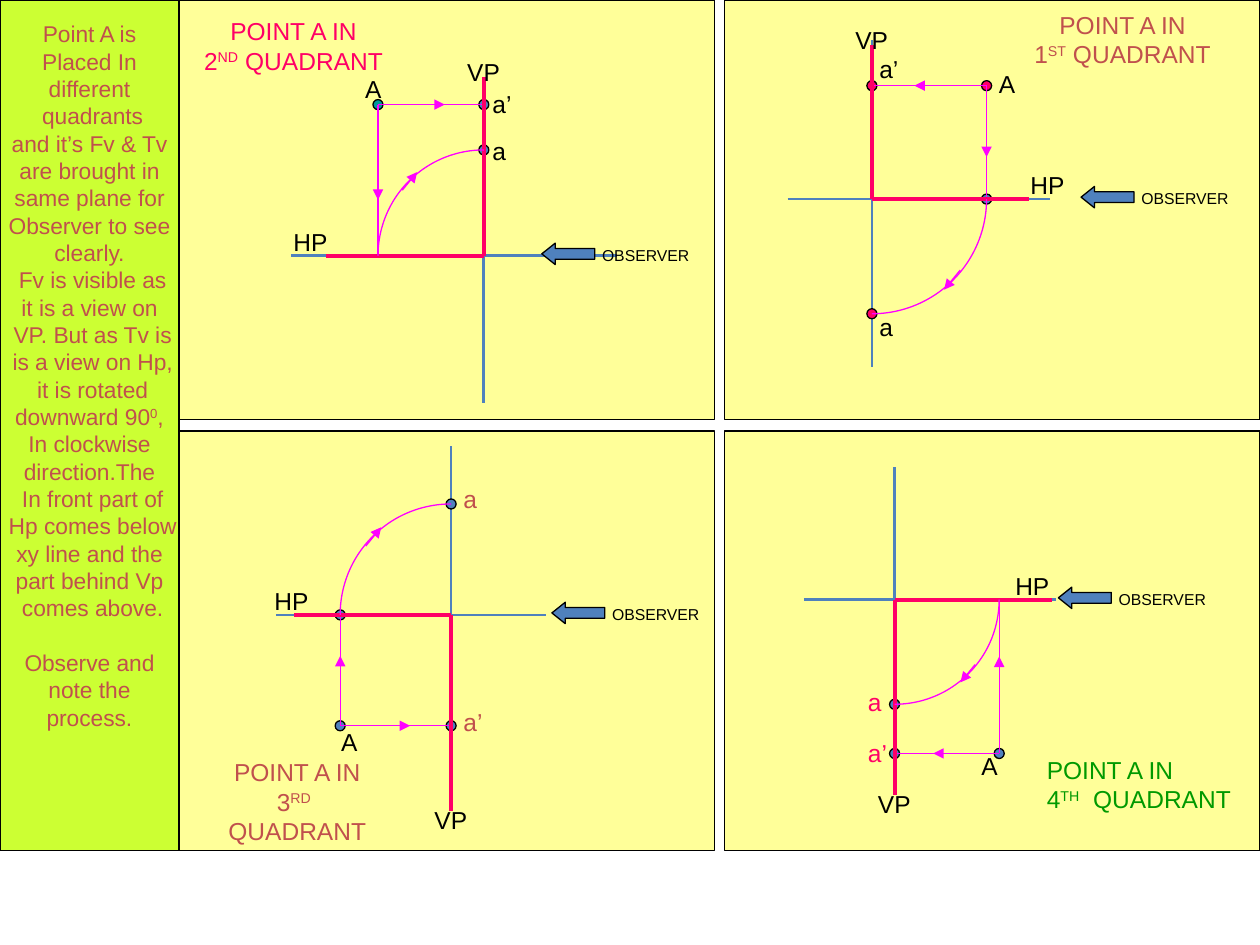
from collections import namedtuple

from lxml import etree
from pptx import Presentation
from pptx.dml.color import RGBColor
from pptx.enum.shapes import MSO_CONNECTOR, MSO_SHAPE
from pptx.enum.text import PP_ALIGN
from pptx.oxml.ns import qn
from pptx.util import Inches, Pt

hex_color = RGBColor.from_string
BLACK, BLUE, RED, BRICK = "000000", "4F81BD", "FF0066", "C0504D"
MAGENTA, GREEN, TEAL = "FF00FF", "009900", "009999"
LEFT, CENTER = PP_ALIGN.LEFT, PP_ALIGN.CENTER
LABEL_WIDTHS = {"HP": 0.47, "VP": 0.46, "a’": 0.35, "a": 0.31, "A": 0.33}
DOT = 0.08
PLANE = 1.25
AXIS = 2.59

prs = Presentation()
prs.slide_width, prs.slide_height = Inches(10), Inches(7.5)
shapes = prs.slides.add_slide(prs.slide_layouts[6]).shapes


def paint(shape, line, fill=None):
    shape.shadow.inherit = False
    shape.line.color.rgb = hex_color(line)
    shape.line.width = Pt(0.75)
    if fill:
        shape.fill.solid()
        shape.fill.fore_color.rgb = hex_color(fill)
    else:
        shape.fill.background()


def write(at, lines, size, color, align=LEFT):
    """Add one paragraph per line; text between ^ marks is superscript."""
    frame = shapes.add_textbox(*map(Inches, at)).text_frame
    frame.word_wrap = False
    font_format = {"name": "Arial", "size": Pt(size)}
    for number, line in enumerate(lines):
        paragraph = frame.add_paragraph() if number else frame.paragraphs[0]
        paragraph.alignment = align
        for part, text in enumerate(line.split("^")):
            run = paragraph.add_run()
            run.text = text
            for name, value in font_format.items():
                setattr(run.font, name, value)
            run.font.color.rgb = hex_color(color)
            if part % 2:
                run._r.get_or_add_rPr().set("baseline", "30000")
    return frame


# origin: where HP and VP meet; point: A; vp_end: free end of VP;
# the *_at fields place labels, view_tops are the tops of a’ and a.
Quadrant = namedtuple("Quadrant", "name origin point axis_ends axis_top vp_end hp_at a_at "
                      "view_left view_tops observer_left title_at title_color align "
                      "view_color dot_colors")
quadrants = [
    Quadrant("1^ST^ QUADRANT", (6.92, 1.58), (7.83, 0.68), (6.25, 8.33), 0.32, 0.36, 8.08,
             (7.83, 0.5), 6.88, (0.38, 2.43), 8.58, (8.08, 0.03), BRICK, CENTER,
             BLACK, (RED, RED, RED, BLUE)),
    Quadrant("2^ND^ QUADRANT", (3.84, 2.03), (3, 0.83), (2.31, 4.9), 0.61, 0.61, 2.23,
             (2.8, 0.54), 3.81, (0.66, 1.03), 4.3, (1.5, 0.08), RED, CENTER,
             BLACK, (TEAL, BLUE, BLUE)),
    Quadrant("3^RD^  QUADRANT", (3.58, 4.88), (2.7, 5.76), (2.19, 4.33), 3.54, 6.44, 2.08,
             (2.61, 5.72), 3.58, (5.56, 3.79), 4.38, (1.53, 5.96), BRICK, CENTER,
             BRICK, (BLUE,) * 4),
    Quadrant("4^TH^  QUADRANT", (7.1, 4.76), (7.93, 5.98), (6.38, 8.38), 3.71, 6.31, 7.96,
             (7.69, 5.91), 6.79, (5.81, 5.4), 8.4, (8.21, 5.94), GREEN, LEFT,
             RED, (BLUE,) * 3),
]

for q in quadrants:
    (ox, oy), (ax, ay) = q.origin, q.point
    offset = ax - ox
    reach = abs(offset)
    in_front, above = offset > 0, ay < oy
    corner = (5.75 if in_front else 1.42, 0 if above else 3.42)
    panel = shapes.add_shape(MSO_SHAPE.RECTANGLE, *map(Inches, (*corner, 4.25, 3.33)))
    paint(panel, BLACK, "FFFF99")

    start, end = q.axis_ends
    hp_end = ox + (PLANE if in_front else -PLANE)
    feet = [(ox, ay), (ax, oy)]
    arrows = [(ax + (x - ax) * 0.35, ay + (y - ay) * 0.35,
               ax + (x - ax) * 0.63, ay + (y - ay) * 0.63) for x, y in feet]
    arrows.append((ox + offset * 0.77, oy + offset * 0.62,
                   ox + offset * 0.63, oy + offset * 0.79))
    strokes = [
        (BLUE, 1.5, False, [(start, oy, end, oy), (ox, q.axis_top, ox, q.axis_top + AXIS)]),
        (MAGENTA, 0.75, False, [(ax, ay, *foot) for foot in feet]),
        (MAGENTA, 0.75, True, arrows),
        (RED, 2.25, False, [(ox, oy, hp_end, oy), (ox, oy, ox, q.vp_end)]),
    ]
    for color, width, has_head, lines in strokes:
        for ends in lines:
            line = shapes.add_connector(MSO_CONNECTOR.STRAIGHT, *map(Inches, ends))
            line.line.color.rgb = hex_color(color)
            line.line.width = Pt(width)
            properties = line._element.spPr
            if has_head:
                etree.SubElement(properties.find(qn("a:ln")), qn("a:tailEnd"), type="triangle")
            etree.SubElement(properties, qn("a:effectLst"))
        if color == BLUE:
            centers = [(ax, ay), (ox, ay), (ox, oy + offset), (ax, oy)]
            for (x, y), dot_color in zip(centers, q.dot_colors):
                box = (x - DOT / 2, y - DOT / 2, DOT, DOT)
                paint(shapes.add_shape(MSO_SHAPE.OVAL, *map(Inches, box)), BLACK, dot_color)

    box = (ox - reach, oy - reach, 2 * reach, 2 * reach)
    swing = shapes.add_shape(MSO_SHAPE.ARC, *map(Inches, box))
    first_angle = 0 if in_front else 180
    for index, degrees in enumerate((first_angle, first_angle + 90)):
        swing.adjustments[index] = degrees * 0.6  # arc angles are 60000 units a degree
    paint(swing, MAGENTA)

    vp_top = q.vp_end - (0.21 if above else 0.1)
    labels = [("HP", q.hp_at, oy - 0.28, BLACK), ("VP", ox - 0.23, vp_top, BLACK),
              ("A", *q.a_at, BLACK)]
    labels += [(view, q.view_left, top, q.view_color)
               for view, top in zip(("a’", "a"), q.view_tops)]
    for text, x, y, color in labels:
        write((x, y, LABEL_WIDTHS[text], 0.33), [text], 14, color)

    x, y = q.observer_left, oy - 0.1
    pointer = shapes.add_shape(MSO_SHAPE.LEFT_ARROW, *map(Inches, (x, y, 0.42, 0.17)))
    pointer.adjustments[1] = 0.625
    paint(pointer, BLACK, BLUE)
    write((x + 0.38, y - 0.03, 0.9, 0.25), ["OBSERVER"], 9, BLACK)
    write((*q.title_at, 1.66, 0.57), ["POINT A IN", q.name], 14, q.title_color, q.align)

sidebar = shapes.add_shape(MSO_SHAPE.RECTANGLE, *map(Inches, (0, 0, 1.42, 6.75)))
paint(sidebar, BLACK, "CCFF33")
explanation = [
    "Point A is ", "Placed In ", "different ", "quadrants", "and it’s Fv & Tv ",
    "are brought in ", "same plane for ", "Observer to see ", "clearly. ",
    "Fv is visible as", "it is a view on ", "VP. But as Tv is", " is a view on Hp, ",
    "it is rotated", "downward 90^0^, ", "In clockwise ", "direction.The ",
    "In front part of", " Hp comes below ", "xy line and the ", "part behind Vp ",
    "comes above.", "Observe and ", "note the ", "process. ",
]
notes = write((-0.13, 0.11, 1.73, 6.19), explanation, 13, BRICK, CENTER)
notes.paragraphs[explanation.index("Observe and ")].space_before = Pt(15.6)

prs.save("out.pptx")
